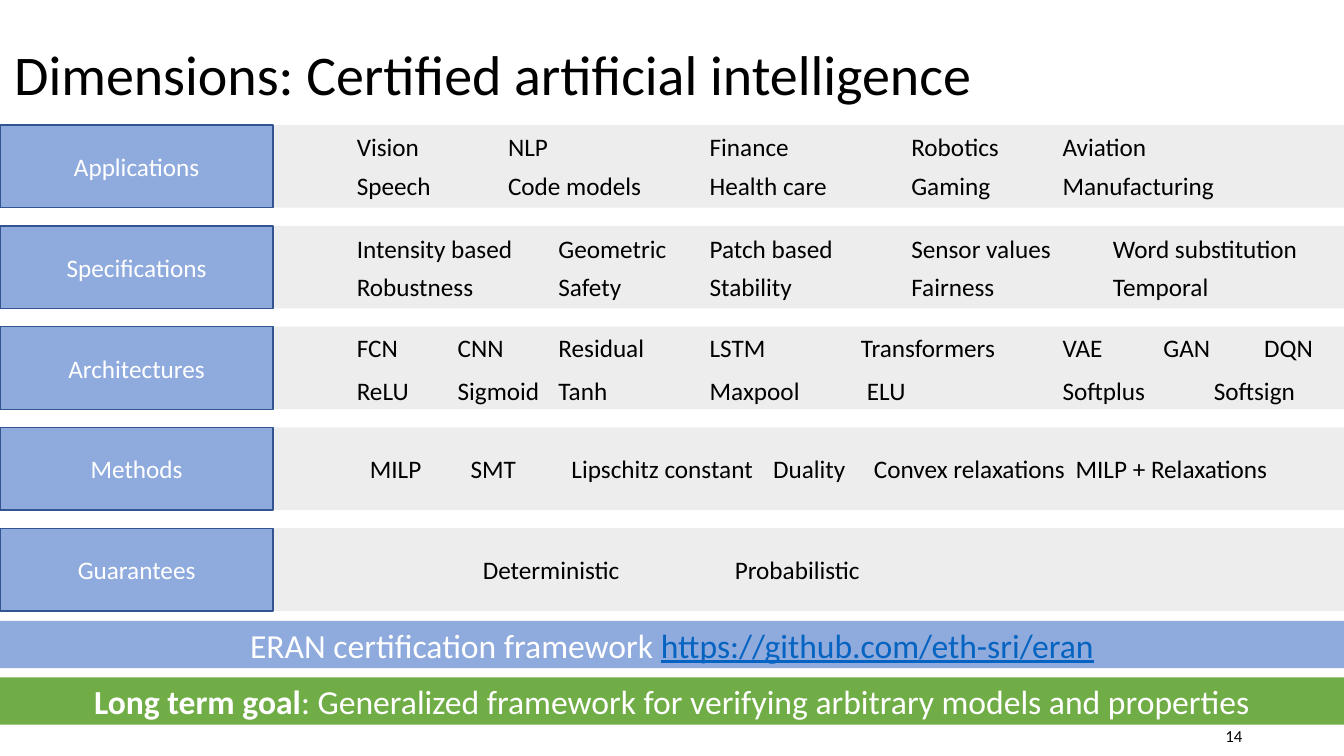
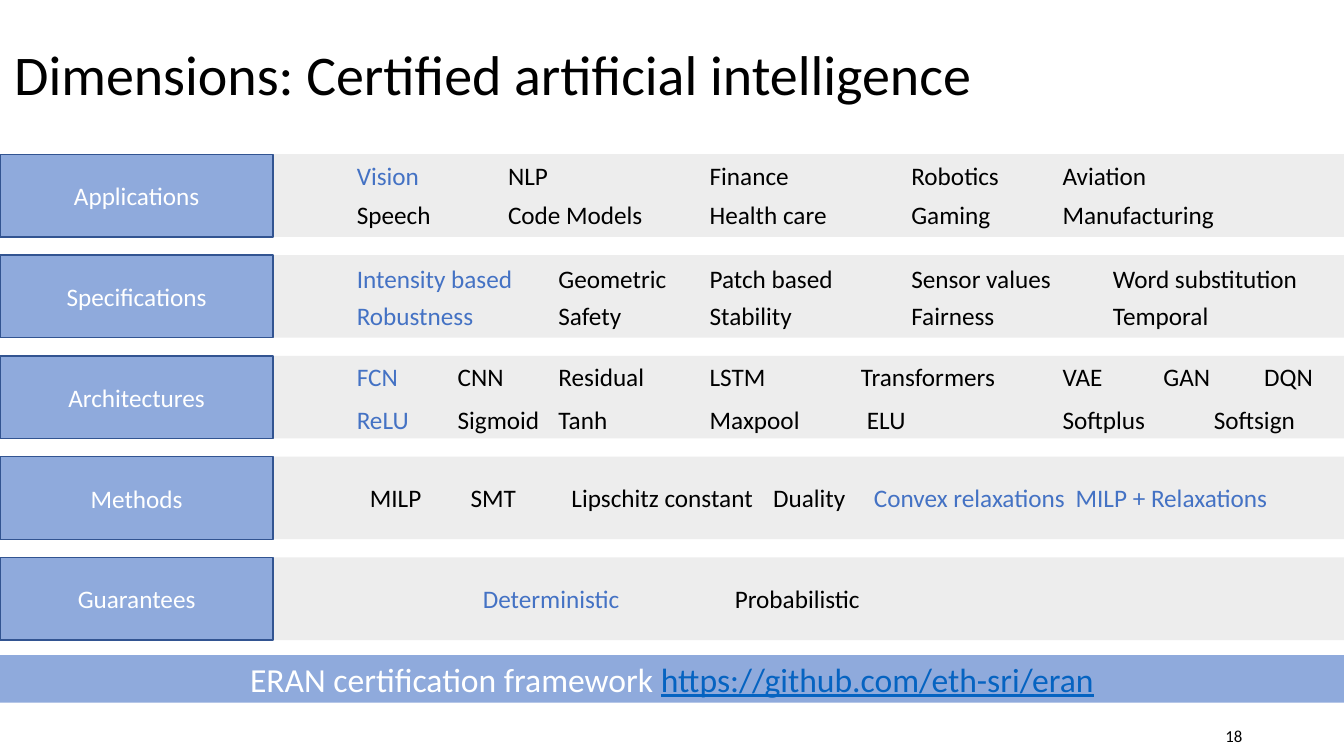
from lxml.etree import SubElement
from pptx import Presentation
from pptx.dml.color import RGBColor
from pptx.enum.shapes import MSO_SHAPE
from pptx.enum.text import MSO_ANCHOR, PP_ALIGN
from pptx.oxml.ns import qn
from pptx.util import Inches, Pt

BLACK = RGBColor(0x00, 0x00, 0x00)
WHITE = RGBColor(0xFF, 0xFF, 0xFF)
BLUE = RGBColor(0x8F, 0xAA, 0xDC)
OUTLINE = RGBColor(0x32, 0x54, 0x91)
ACCENT = RGBColor(0x44, 0x72, 0xC4)
LINK = RGBColor(0x05, 0x63, 0xC1)
GRAY = RGBColor(0xED, 0xED, 0xED)
GREEN = RGBColor(0x70, 0xAD, 0x47)

FONT = "Calibri"
SLIDE_W, SLIDE_H = 13.33, 7.5
ROW_H, ROW_STEP, LABEL_W = 0.82, 1.0, 2.71
BANNER_H, LINE_H = 0.47, 0.4
TEXT_X = 3.44

TITLE = "Dimensions: Certified artificial intelligence"
FRAMEWORK = [("ERAN certification framework ", {}),
             ("https://github.com/eth-sri/eran", {"color": LINK, "underline": True})]
GOAL = [("Long term goal", {"bold": True}),
        (": Generalized framework for verifying arbitrary models and properties", {})]


def dimension_rows(code_models):
    app_stops = [1.5, 3.5, 5.5, 7]
    spec_stops = [2, 3.5, 5.5, 7.5]
    return [
        ("Applications", TEXT_X, [
            (0.01, app_stops, ["Vision", "NLP", "Finance", "Robotics", "Aviation"]),
            (0.4, app_stops, ["Speech", code_models, "Health care", "Gaming",
                              "Manufacturing"])]),
        ("Specifications", TEXT_X, [
            (0.03, spec_stops, ["Intensity based", "Geometric", "Patch based",
                                "Sensor values", "Word substitution"]),
            (0.4, spec_stops, ["Robustness", "Safety", "Stability", "Fairness",
                               "Temporal"])]),
        ("Architectures", TEXT_X, [
            (0.01, [1, 2, 3.5, 5, 7, 8, 9],
             ["FCN", "CNN", "Residual", "LSTM", "Transformers", "VAE", "GAN", "DQN"]),
            (0.43, [1, 2, 3.5, 5.06, 7, 8.5],
             ["ReLU", "Sigmoid", "Tanh", "Maxpool", "ELU", "Softplus", "Softsign"])]),
        ("Methods", 3.57, [
            (0.21, [1, 2, 4, 5, 7],
             ["MILP", "SMT", "Lipschitz constant", "Duality", "Convex relaxations",
              "MILP + Relaxations"])]),
        ("Guarantees", 4.69, [
            (0.21, [2.5], ["Deterministic", "Probabilistic"])]),
    ]


def add_text(sp, runs, size=18, color=BLACK, align=PP_ALIGN.LEFT,
             anchor=MSO_ANCHOR.MIDDLE, stops=(), spacing=None):
    tf = sp.text_frame
    tf.word_wrap = True
    tf.vertical_anchor = anchor
    p = tf.paragraphs[0]
    p.alignment = align
    if spacing:
        p.line_spacing = spacing
    if stops:
        tabs = SubElement(p._p.get_or_add_pPr(), qn("a:tabLst"))
        for stop in stops:
            SubElement(tabs, qn("a:tab"), pos=str(Inches(stop)), algn="l")
    for text, style in runs:
        r = p.add_run()
        r.text = text
        r.font.name = FONT
        r.font.size = Pt(size)
        r.font.bold = style.get("bold", False)
        r.font.underline = style.get("underline", False)
        r.font.color.rgb = style.get("color", color)


def add_rect(s, x, y, w, h, fill, line=None):
    sp = s.shapes.add_shape(MSO_SHAPE.RECTANGLE, Inches(x), Inches(y), Inches(w), Inches(h))
    sp.shadow.inherit = False
    sp.fill.solid()
    sp.fill.fore_color.rgb = fill
    if line:
        sp.line.color.rgb = line
        sp.line.width = Pt(1)
    else:
        sp.line.fill.background()
    return sp


def add_box(s, x, y, w, runs, **fmt):
    sp = s.shapes.add_textbox(Inches(x), Inches(y), Inches(w), Inches(LINE_H))
    add_text(sp, runs, **fmt)


def add_title(s):
    sp = s.shapes.title
    sp.left, sp.top = Inches(0.04), Inches(0.04)
    sp.width, sp.height = Inches(13.29), Inches(1.45)
    add_text(sp, [(TITLE, {})], size=40, spacing=0.9)


def add_banner(s, y, runs, fill):
    sp = add_rect(s, 0, y, SLIDE_W, BANNER_H, fill)
    add_text(sp, runs, size=24, color=WHITE, align=PP_ALIGN.CENTER)


def add_row(s, y, label, x, lines, highlights):
    add_rect(s, 0, y, SLIDE_W, ROW_H, GRAY)
    sp = add_rect(s, 0, y, LABEL_W, ROW_H, BLUE, OUTLINE)
    add_text(sp, [(label, {})], color=WHITE, align=PP_ALIGN.CENTER)
    for dy, stops, items in lines:
        runs = [("\t" * (i > 0) + item, {"color": ACCENT if item in highlights else BLACK})
                for i, item in enumerate(items)]
        add_box(s, x, y + dy, SLIDE_W - x, runs, stops=stops, anchor=MSO_ANCHOR.TOP)


def add_dimensions_slide(prs, number, top, framework_y, code_models,
                         highlights=(), goal_y=None):
    s = prs.slides.add_slide(prs.slide_layouts[5])
    add_title(s)
    for i, (label, x, lines) in enumerate(dimension_rows(code_models)):
        add_row(s, top + i * ROW_STEP, label, x, lines, highlights)
    add_banner(s, framework_y, FRAMEWORK, BLUE)
    if goal_y:
        add_banner(s, goal_y, GOAL, GREEN)
    add_box(s, 9.42, 7.1, 3, [(number, {})], size=12, align=PP_ALIGN.RIGHT)


def main():
    prs = Presentation()
    prs.slide_width, prs.slide_height = Inches(SLIDE_W), Inches(SLIDE_H)
    add_dimensions_slide(prs, "14", 1.24, 6.16, "Code models", goal_y=6.72)
    add_dimensions_slide(prs, "18", 1.53, 6.5, "Code Models", highlights={
        "Vision", "Intensity based", "Robustness", "FCN", "ReLU",
        "Convex relaxations", "MILP + Relaxations", "Deterministic"})
    prs.save("out.pptx")


if __name__ == "__main__":
    main()
